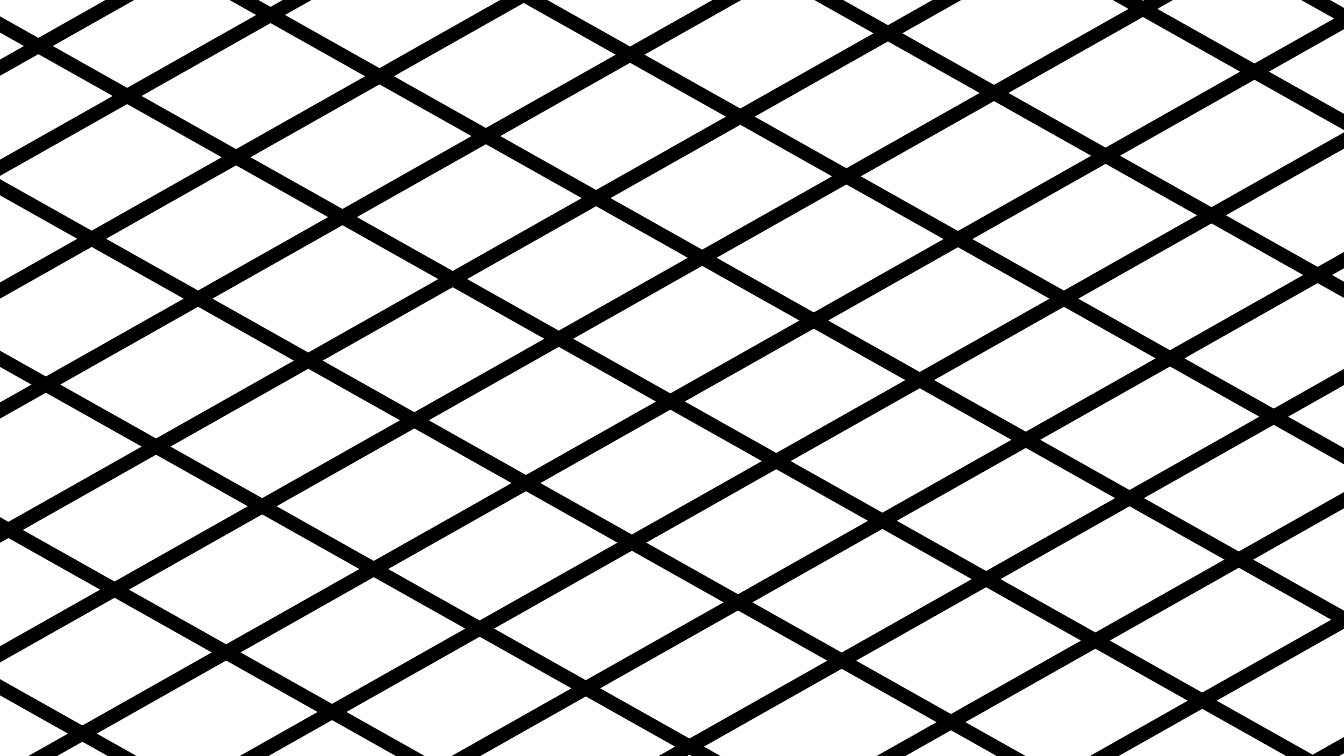
from pptx import Presentation
from pptx.dml.color import RGBColor
from pptx.enum.shapes import MSO_CONNECTOR as LINK
from pptx.oxml.ns import qn
from pptx.util import Inches, Pt
from lxml.etree import SubElement

BLACK = RGBColor(0, 0, 0)
WHITE = RGBColor(255, 255, 255)
SPAN = 13.33

falling = [
    (-0.2, 0.13), (-1.4, 1.07), (-1.99, 2.44), (-3.2, 3.41), (-4.28, 4.41),
    (0.98, -0.81), (3.03, -2.92), (1.82, -1.95), (5.05, -4.5), (4.23, -3.91),
]
rising = [
    (13.4, 0.17), (13.85, 1.1), (14.27, 2.05), (14.8, 2.91), (15.6, 3.68),
    (16.14, 4.57), (17.53, 5.02), (12.89, -0.79), (12.33, -1.66),
    (11.37, -3.54), (11.83, -2.61), (10.01, -3.99), (9.58, -4.74),
]

deck = Presentation()
deck.slide_width = Inches(SPAN)
deck.slide_height = Inches(7.5)
slide = deck.slides.add_slide(deck.slide_layouts[6])
slide.background.fill.solid()
slide.background.fill.fore_color.rgb = WHITE

for starts, run, drop in ((falling, SPAN, 7.5), (rising, -SPAN, 7.53)):
    for x, y in starts:
        bar = slide.shapes.add_connector(
            LINK.STRAIGHT, Inches(x), Inches(y), Inches(x + run), Inches(y + drop))
        bar.line.color.rgb = BLACK
        bar.line.width = Pt(10)
        SubElement(bar.element.spPr, qn("a:effectLst"))

deck.save("out.pptx")
